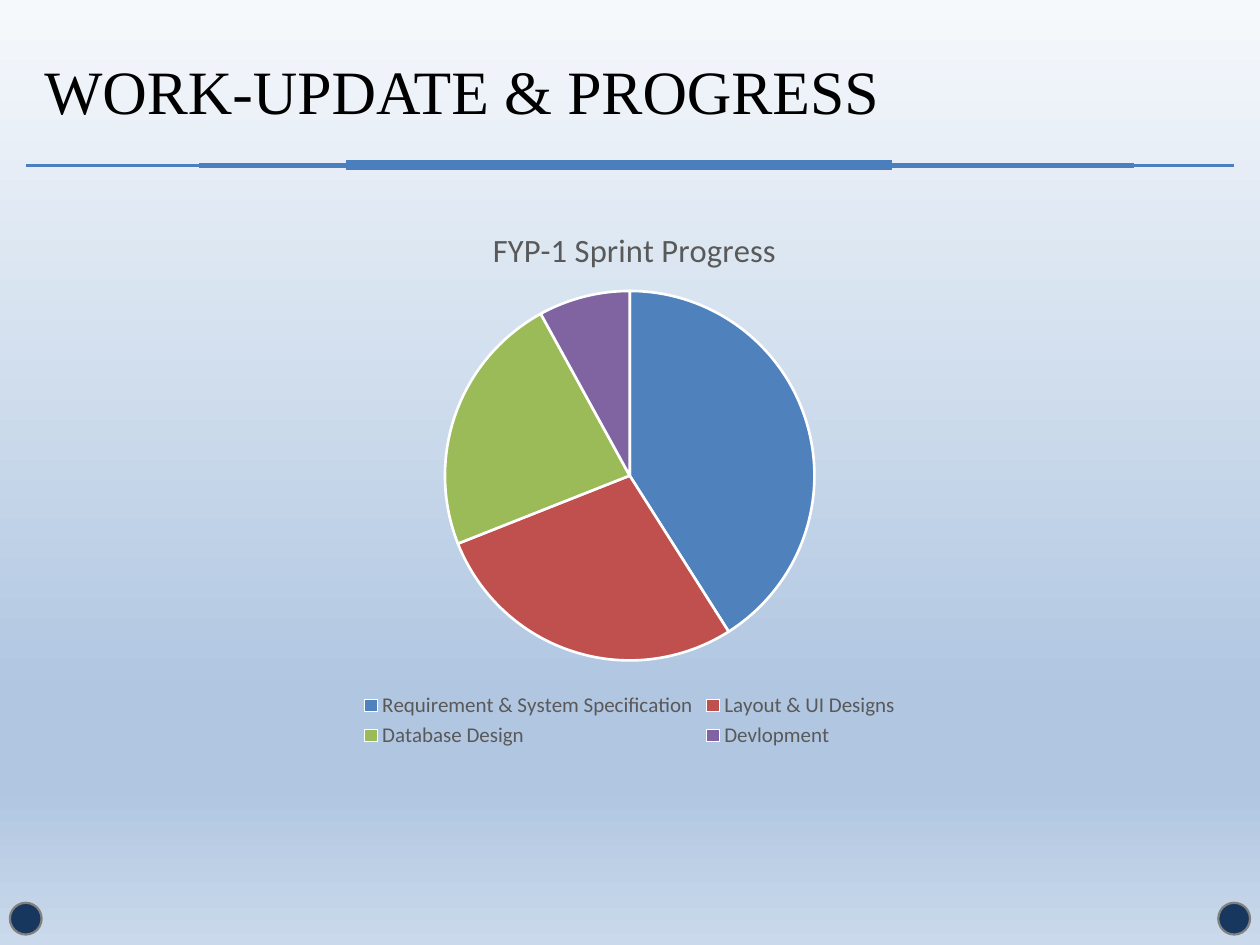
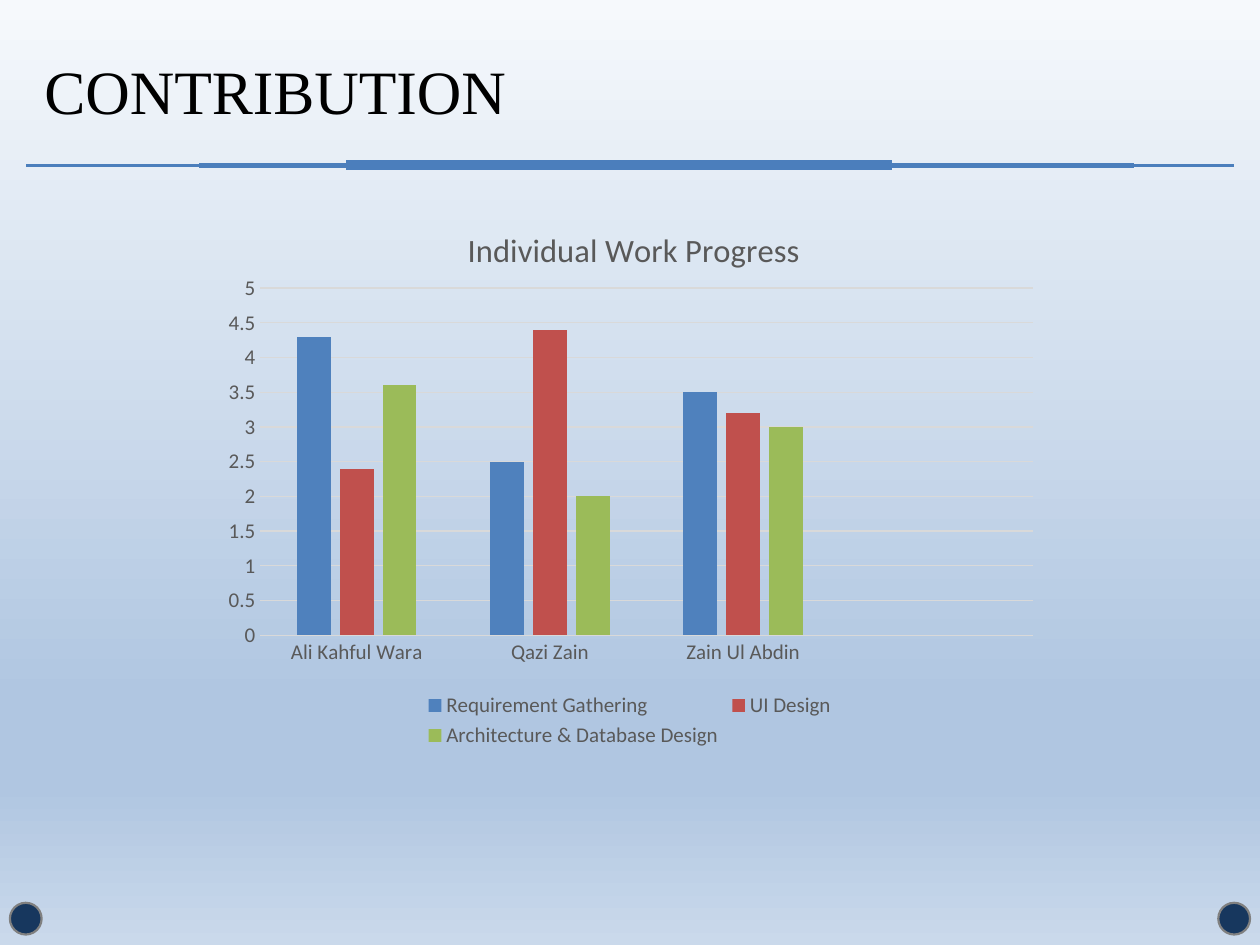
from dataclasses import dataclass

from lxml import etree
from pptx import Presentation
from pptx.chart.chart import Chart
from pptx.chart.data import CategoryChartData
from pptx.dml.color import RGBColor
from pptx.enum.chart import XL_CHART_TYPE, XL_LEGEND_POSITION, XL_TICK_MARK
from pptx.enum.shapes import MSO_CONNECTOR, MSO_SHAPE
from pptx.enum.text import MSO_ANCHOR, MSO_AUTO_SIZE, PP_ALIGN
from pptx.oxml.ns import qn
from pptx.presentation import Presentation as Deck
from pptx.slide import Slide
from pptx.util import Cm, Pt

PIE = XL_CHART_TYPE.PIE
COLUMNS = XL_CHART_TYPE.COLUMN_CLUSTERED
LEGEND_BOTTOM = XL_LEGEND_POSITION.BOTTOM
NO_TICK = XL_TICK_MARK.NONE
STRAIGHT = MSO_CONNECTOR.STRAIGHT
OVAL = MSO_SHAPE.OVAL
LEFT = PP_ALIGN.LEFT
MIDDLE = MSO_ANCHOR.MIDDLE
NO_AUTOFIT = MSO_AUTO_SIZE.NONE
TITLE_ONLY = 5


@dataclass(frozen=True)
class Theme:
    title_font: str = "Times New Roman"
    chart_font: str = "Calibri"
    title_size: float = 44
    chart_title_size: float = 18.6
    label_size: float = 12
    title_color: str = "000000"
    label_color: str = "595959"
    grid_color: str = "D9D9D9"
    rule_color: str = "4B7EBC"
    dot_color: str = "17375E"
    dot_edge: str = "808080"
    slice_edge: str = "FFFFFF"
    series_colors: tuple = ("4F81BD", "C0504D", "9BBB59", "8064A2")
    background: tuple = ((0, "F6F9FC"), (74, "B0C6E1"), (83, "B0C6E1"), (100, "CAD9EB"))


@dataclass(frozen=True)
class Rule:
    start: float
    end: float
    weight: float


@dataclass(frozen=True)
class ChartPage:
    title: str
    chart_title: str
    kind: XL_CHART_TYPE
    categories: tuple
    series: dict
    title_place: dict
    plot_place: dict


THEME = Theme()
RULE_TOP = 3.33
RULES = (Rule(0.53, 24.87, 1.5), Rule(4.02, 22.86, 3), Rule(6.98, 17.99, 6))
DOT_LEFTS = (0.2, 24.56)
DOT_TOP = 18.2
DOT_SIZE = 0.64

PAGES = (
    ChartPage(
        "work-update & progress",
        "FYP-1 Sprint Progress",
        PIE,
        ("Requirement & System Specification", "Layout & UI Designs",
         "Database Design", "Devlopment"),
        {"Series 1": (41, 28, 23, 8)},
        {"x": 0.33, "y": 0.05},
        {"x": 0.28, "y": 0.17, "w": 0.44, "h": 0.67},
    ),
    ChartPage(
        "contribution",
        "Individual Work Progress",
        COLUMNS,
        ("Ali Kahful Wara", "Qazi Zain", "Zain Ul Abdin", ""),
        {
            "Requirement Gathering": (4.3, 2.5, 3.5, None),
            "UI Design": (2.4, 4.4, 3.2, None),
            "Architecture & Database Design": (3.6, 2, 3, None),
        },
        {"x": 0.3, "y": 0.05},
        {"x": 0.06, "y": 0.17, "w": 0.92, "h": 0.62},
    ),
)


def color(code: str) -> RGBColor:
    return RGBColor.from_string(code)


def style_font(font, name: str, size: float, code: str) -> None:
    font.name = name
    font.size = Pt(size)
    font.bold = False
    font.color.rgb = color(code)


def set_background(deck: Deck) -> None:
    master = deck.slide_master
    fill = master.background.fill
    fill.gradient()
    fill.gradient_angle = 270
    stops = next(master.element.iter(qn("a:gsLst")))
    for stop in list(stops):
        stops.remove(stop)
    for position, code in THEME.background:
        stop = etree.SubElement(stops, qn("a:gs"), pos=str(position * 1000))
        etree.SubElement(stop, qn("a:srgbClr"), val=code)


def add_dot(page: Slide, left: float) -> None:
    dot = page.shapes.add_shape(OVAL, Cm(left), Cm(DOT_TOP), Cm(DOT_SIZE), Cm(DOT_SIZE))
    dot.shadow.inherit = False
    dot.fill.solid()
    dot.fill.fore_color.rgb = color(THEME.dot_color)
    dot.line.color.rgb = color(THEME.dot_edge)
    dot.line.width = Pt(1.25)


def add_rule(page: Slide, rule: Rule) -> None:
    line = page.shapes.add_connector(
        STRAIGHT, Cm(rule.start), Cm(RULE_TOP), Cm(rule.end), Cm(RULE_TOP))
    line.line.color.rgb = color(THEME.rule_color)
    line.line.width = Pt(rule.weight)
    properties = line.element.find(qn("p:spPr"))
    etree.SubElement(properties, qn("a:effectLst"))


def write_title(page: Slide, text: str) -> None:
    box = page.shapes.title
    box.left, box.top, box.width, box.height = Cm(0.64), Cm(0.42), Cm(20.74), Cm(2.54)
    frame = box.text_frame
    frame.word_wrap = True
    frame.auto_size = NO_AUTOFIT
    frame.vertical_anchor = MIDDLE
    para = frame.paragraphs[0]
    para.alignment = LEFT
    span = para.add_run()
    span.text = text
    style_font(span.font, THEME.title_font, THEME.title_size, THEME.title_color)
    span.font._element.set("cap", "small")


def place(part, position: dict, inner: bool = False) -> None:
    layout = part.find(qn("c:layout"))
    if layout is None:
        layout = etree.Element(qn("c:layout"))
        part.insert(0, layout)
    manual = etree.SubElement(layout, qn("c:manualLayout"))
    if inner:
        etree.SubElement(manual, qn("c:layoutTarget"), val="inner")
    for side in ("x", "y"):
        etree.SubElement(manual, qn(f"c:{side}Mode"), val="edge")
    for side, share in position.items():
        etree.SubElement(manual, qn(f"c:{side}"), val=str(share))


def clear_chart_area(chart: Chart) -> None:
    area = etree.Element(qn("c:spPr"))
    etree.SubElement(area, qn("a:noFill"))
    outline = etree.SubElement(area, qn("a:ln"))
    etree.SubElement(outline, qn("a:noFill"))
    chart.element.find(qn("c:chart")).addnext(area)


def style_pie(chart: Chart) -> None:
    plot = chart.plots[0]
    plot.vary_by_categories = True
    for index, code in enumerate(THEME.series_colors):
        part = plot.series[0].points[index].format
        part.fill.solid()
        part.fill.fore_color.rgb = color(code)
        part.line.color.rgb = color(THEME.slice_edge)
        part.line.width = Pt(1.5)


def style_columns(chart: Chart) -> None:
    plot = chart.plots[0]
    plot.vary_by_categories = False
    plot.gap_width = 219
    plot.overlap = -27
    for series, code in zip(plot.series, THEME.series_colors):
        series.format.fill.solid()
        series.format.fill.fore_color.rgb = color(code)
    names, values = chart.category_axis, chart.value_axis
    for axis in (names, values):
        axis.major_tick_mark = NO_TICK
        axis.minor_tick_mark = NO_TICK
        style_font(axis.tick_labels.font, THEME.chart_font, THEME.label_size, THEME.label_color)
    values.minimum_scale = 0
    values.maximum_scale = 5
    values.major_unit = 0.5
    values.has_major_gridlines = True
    values.format.line.fill.background()
    for line in (names.format.line, values.major_gridlines.format.line):
        line.color.rgb = color(THEME.grid_color)
        line.width = Pt(0.75)


def add_page_chart(page: Slide, content: ChartPage) -> None:
    data = CategoryChartData()
    data.categories = content.categories
    for name, values in content.series.items():
        data.add_series(name, values)
    chart = page.shapes.add_chart(
        content.kind, Cm(4.23), Cm(3.89), Cm(16.93), Cm(11.29), data).chart
    style_font(chart.font, THEME.chart_font, THEME.label_size, THEME.label_color)
    clear_chart_area(chart)

    chart.has_title = True
    span = chart.chart_title.text_frame.paragraphs[0].add_run()
    span.text = content.chart_title
    style_font(span.font, THEME.chart_font, THEME.chart_title_size, THEME.label_color)

    chart.has_legend = True
    chart.legend.position = LEGEND_BOTTOM
    chart.legend.include_in_layout = False
    style_font(chart.legend.font, THEME.chart_font, THEME.label_size, THEME.label_color)

    body = chart.element.find(qn("c:chart"))
    place(body.find(qn("c:title")), content.title_place)
    place(body.find(qn("c:plotArea")), content.plot_place, inner=True)
    if content.kind == PIE:
        style_pie(chart)
    else:
        style_columns(chart)


def add_page(deck: Deck, content: ChartPage) -> None:
    page = deck.slides.add_slide(deck.slide_layouts[TITLE_ONLY])
    for left in DOT_LEFTS:
        add_dot(page, left)
    for rule in RULES:
        add_rule(page, rule)
    write_title(page, content.title)
    add_page_chart(page, content)


def main() -> None:
    deck = Presentation()
    deck.slide_width, deck.slide_height = Cm(25.4), Cm(19.05)
    set_background(deck)
    for content in PAGES:
        add_page(deck, content)
    deck.save("out.pptx")


if __name__ == "__main__":
    main()
